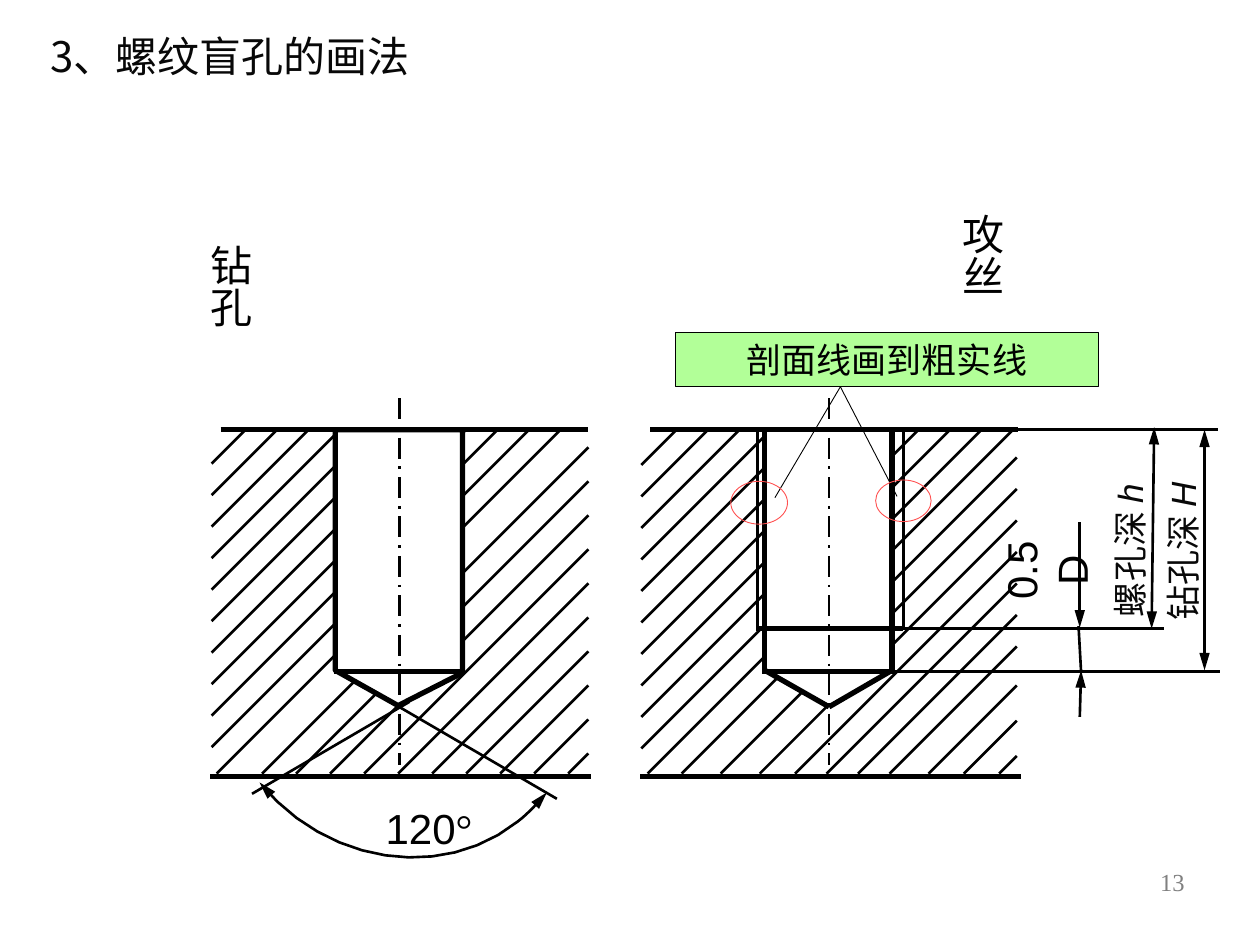
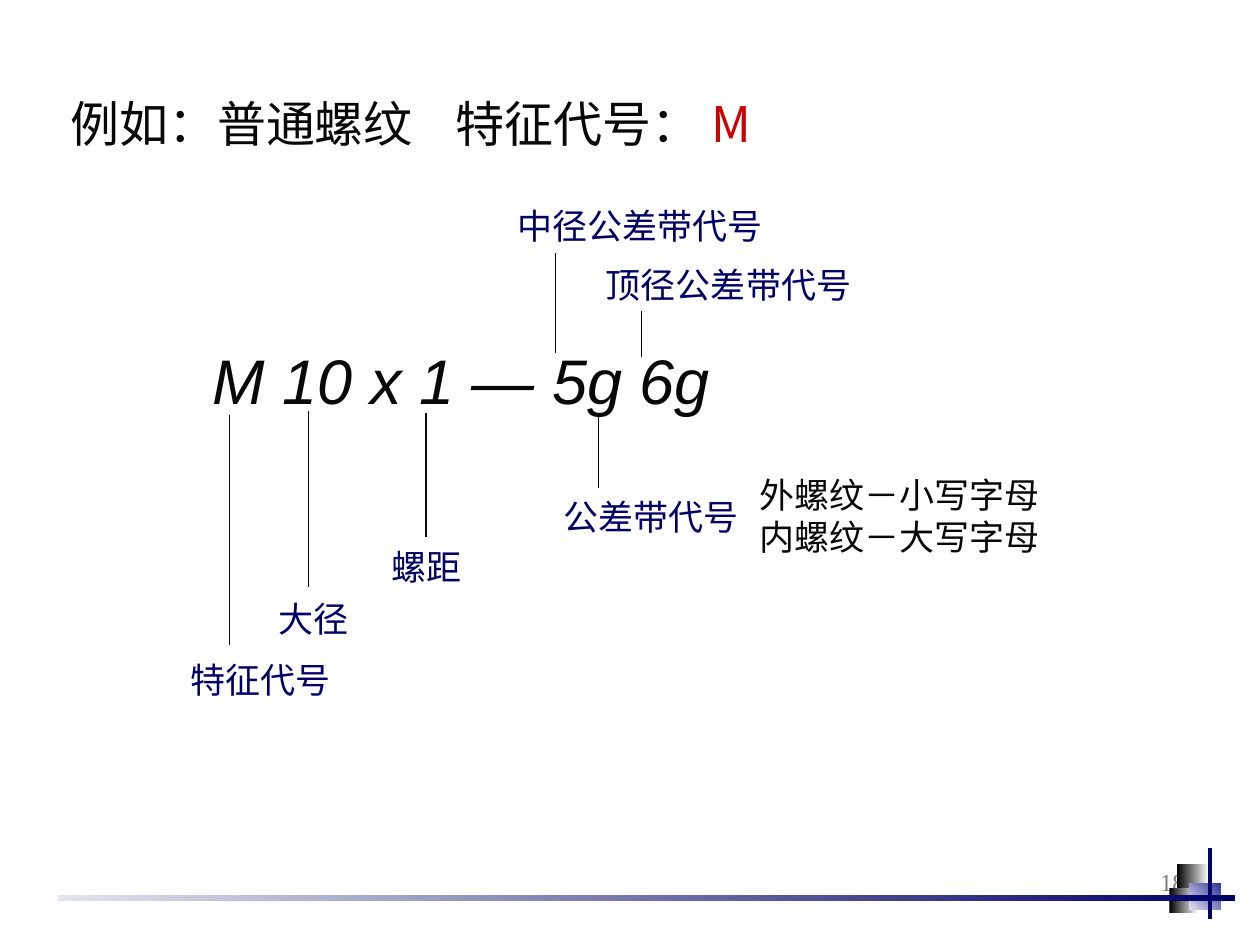
from dataclasses import dataclass

from lxml import etree
from pptx import Presentation, util as u
from pptx.dml.color import RGBColor
from pptx.enum import dml, shapes, text
from pptx.oxml import ns


@dataclass(frozen=True)
class Theme:
    black: str = "000000"
    ink: str = "080808"
    navy: str = "000066"
    red: str = "CC0000"
    ring: str = "FF5050"
    callout: str = "66FF33"
    white: str = "FFFFFF"
    grey: str = "808080"
    cjk: str = "Noto Sans CJK SC"
    sans: str = "Arial"
    serif: str = "Times New Roman"
    number: int = 14
    label: int = 20
    body: int = 24
    heading: int = 28
    code: int = 36
    hair: float = 0.5
    leader: float = 0.75
    thin: float = 1.5
    plus: float = 2.25
    thick: float = 3


T = Theme()
TOP, BOTTOM = 3.41, 6.14      # faces of the drilled block
THREAD_END, DRILL_END = 4.99, 5.33


def rgb(value):
    return RGBColor.from_string(value)


def sub(parent, tag, **attrs):
    return etree.SubElement(parent, ns.qn(tag), **attrs)


def steps(start, step, count):
    return [start + step * i for i in range(count)]


def bezier(p0, p1, p2, p3, count=12):
    """Points of a cubic curve, without its first point."""
    points = []
    for i in range(1, count + 1):
        t = i / count
        weights = ((1 - t) ** 3, 3 * t * (1 - t) ** 2, 3 * t * t * (1 - t), t ** 3)
        points.append(tuple(sum(w * p[axis] for w, p in zip(weights, (p0, p1, p2, p3)))
                            for axis in (0, 1)))
    return points


class Deck:
    def __init__(self):
        self.prs = Presentation()
        self.prs.slide_width, self.prs.slide_height = u.Inches(10), u.Inches(7.5)
        self.s = None

    def new_slide(self, number):
        self.s = self.prs.slides.add_slide(self.prs.slide_layouts[6])
        self.text((7.17, 6.83, 2.33, 0.52), str(number), T.number, T.grey, T.serif,
                  align=text.PP_ALIGN.RIGHT)

    def font(self, r, size, color, name, italic=False):
        r.font.size = u.Pt(size)
        r.font.color.rgb = rgb(color)
        r.font.name = name
        if italic:
            r.font.italic = True
        sub(r.font._element, "a:ea", typeface=T.cjk)

    def text(self, box, lines, size, color, name=T.cjk, italic=False, align=None,
             middle=False, rotation=0, vertical=False, tab=None, wrap=True):
        """Add a text box and return its first paragraph."""
        sp = self.s.shapes.add_textbox(*map(u.Inches, box))
        sp.rotation = rotation
        tf = sp.text_frame
        tf.text = lines
        tf.word_wrap = wrap
        if middle:
            tf.vertical_anchor = text.MSO_ANCHOR.MIDDLE
        if vertical:
            sp.element.txBody.bodyPr.set("vert", "eaVert")
        for p in tf.paragraphs:
            if tab:
                tabs = sub(p._p.get_or_add_pPr(), "a:tabLst")
                sub(tabs, "a:tab", pos=str(u.Inches(tab)), algn="l")
            if align:
                p.alignment = align
            for r in p.runs:
                self.font(r, size, color, name, italic)
        return tf.paragraphs[0]

    def add_run(self, p, words, *style, **options):
        r = p.add_run()
        r.text = words
        self.font(r, *style, **options)

    def stroke(self, sp, width, color=T.black, dash=None, ends=()):
        sp.line.width = u.Pt(width)
        sp.line.color.rgb = rgb(color)
        if dash:
            sp.line.dash_style = dash
        for end in ends:
            sub(sp.line._get_or_add_ln(), "a:" + end, type="triangle", w="med", len="lg")

    def line(self, x1, y1, x2, y2, width=T.thin, color=T.black, dash=None, ends=()):
        sp = self.s.shapes.add_connector(shapes.MSO_CONNECTOR.STRAIGHT,
                                         *map(u.Inches, (x1, y1, x2, y2)))
        self.stroke(sp, width, color, dash, ends)
        sub(sp.element.spPr, "a:effectLst")

    def outline(self, points, width, fill=None, ends=()):
        """Draw a polyline, closed when it has a fill."""
        emu = [(u.Inches(x), u.Inches(y)) for x, y in points]
        builder = self.s.shapes.build_freeform(*emu[0])
        builder.add_line_segments(emu[1:], close=bool(fill))
        sp = builder.convert_to_shape()
        sp.shadow.inherit = False
        if fill:
            sp.fill.solid()
            sp.fill.fore_color.rgb = rgb(fill)
        else:
            sp.fill.background()
        self.stroke(sp, width, ends=ends)

    def shape(self, kind, box):
        sp = self.s.shapes.add_shape(kind, *map(u.Inches, box))
        sp.shadow.inherit = False
        return sp

    def ring(self, *box):
        sp = self.shape(shapes.MSO_SHAPE.OVAL, box)
        sp.fill.background()
        self.stroke(sp, T.hair, T.ring)

    def callout(self, box, words):
        sp = self.shape(shapes.MSO_SHAPE.RECTANGLE, box)
        sp.fill.solid()
        sp.fill.fore_color.rgb = rgb(T.callout)
        color = sp.element.spPr.find(ns.qn("a:solidFill"))[0]
        sub(color, "a:alpha", val="50000")
        self.stroke(sp, T.leader)
        tf = sp.text_frame
        tf.text = words
        tf.word_wrap = False
        tf.vertical_anchor = text.MSO_ANCHOR.MIDDLE
        p = tf.paragraphs[0]
        p.alignment = text.PP_ALIGN.CENTER
        self.font(p.runs[0], T.label, T.black, T.cjk)

    def gradient(self, box, start, end, angle=0):
        sp = self.shape(shapes.MSO_SHAPE.RECTANGLE, box)
        sp.fill.gradient()
        sp.fill.gradient_angle = angle
        for stop, color in zip(sp.fill.gradient_stops, (start, end)):
            stop.color.rgb = rgb(color)
        sp.line.fill.background()

    def hatch(self, sums, left, right):
        """Draw 45° lines x + y = c, cut off at the block's faces."""
        for c in sums:
            x1, x2 = max(left, c - BOTTOM), min(right, c - TOP)
            self.line(x1, c - x1, x2, c - x2)

    def block(self, left):
        self.line(left + 0.08, TOP, left + 3, TOP, T.thick)
        self.line(left, 6.16, left + 3.02, 6.16, T.thick)

    def axis(self, x):
        self.line(x, 3.16, x, 6.07, dash=dml.MSO_LINE.LONG_DASH_DOT)


def drilled_hole(d):
    d.line(3.25, 5.57, 2, 6.3)
    d.line(2.67, 5.32, 4.42, 6.34)
    start, joint, end = (4.34, 6.29), (4.11, 6.52), (2.06, 6.21)
    arc = [start, *bezier(start, (4.27, 6.37), (4.2, 6.45), joint),
           *bezier(joint, (3.51, 7), (2.59, 6.86), end)]
    d.outline(arc, T.thin, ends=("headEnd", "tailEnd"))
    p = d.text((2.93, 6.32, 0.95, 0.5), "120", T.body, T.black, T.sans,
               align=text.PP_ALIGN.CENTER, middle=True, wrap=False)
    d.add_run(p, "°", T.body, T.black, T.serif)
    d.block(1.67)
    d.hatch(steps(5.36, 0.25, 11) + steps(8.22, 0.27, 10), 1.68, 4.67)
    d.outline([(2.66, TOP), (2.66, 5.32), (3.16, 5.6), (3.67, 5.34), (3.67, TOP)],
              T.thick, T.white)
    d.line(2.65, DRILL_END, 3.69, DRILL_END, T.thick)
    d.axis(3.17)


def tapped_hole(d):
    wall_left, wall_right, tip = 6.07, 7.08, 6.58
    d.block(5.08)
    d.line(wall_left, DRILL_END, 7.09, DRILL_END, T.thick)
    d.axis(tip)
    for wall in (wall_left, wall_right):
        d.line(wall, TOP, wall, 5.35, T.thick)
        d.line(wall, 5.32, tip, 5.61, T.thick)
    d.hatch(steps(8.78, 0.25, 11), 5.09, wall_left)
    for c in steps(11.55, 0.31, 3):
        d.hatch([c], 5.09, (c - 1.85) / 1.57)   # ends on the cone
    d.hatch(steps(10.7, 0.25, 7), wall_right, 8.07)
    d.hatch(steps(12.45, 0.25, 4) + steps(13.51, 0.28, 3), 5.09, 8.07)
    d.line(6, THREAD_END, 7.17, THREAD_END, T.thick)
    for thread in (6.01, 7.17):
        d.line(thread, THREAD_END, thread, TOP)


def depth_dimensions(d):
    both = ("headEnd", "tailEnd")
    d.line(8.08, TOP, 9.67, TOP)
    d.line(6.61, DRILL_END, 9.68, DRILL_END)
    d.line(7.17, THREAD_END, 9.24, THREAD_END)
    d.line(9.56, TOP, 9.56, 5.32, ends=both)
    d.line(9.16, 3.39, 9.14, THREAD_END, ends=both)
    for box, words, symbol in (((8.42, 3.85, 1.92, 0.43), "钻孔深 ", "H"),
                               ((8.2, 4.02, 1.52, 0.43), "螺孔深 ", "h")):
        p = d.text(box, words, T.label, T.ink, rotation=270)
        d.add_run(p, symbol, T.label, T.ink, T.sans, italic=True)
    d.text((7.93, 4.28, 0.74, 0.5), "0.5D", T.body, T.black, T.sans,
           align=text.PP_ALIGN.CENTER, middle=True, rotation=270)
    d.line(8.58, 5.32, 8.57, 5.69, ends=("headEnd",))
    d.line(8.58, DRILL_END, 8.56, 4.97)
    d.line(8.57, 4.98, 8.57, 4.14, ends=("headEnd",))


def blind_hole_slide(d):
    d.new_slide(13)
    drilled_hole(d)
    tapped_hole(d)
    depth_dimensions(d)
    for box, words in (((1.52, 1.84, 0.61, 1.09), "钻孔"), ((7.49, 1.6, 0.61, 1.11), "攻丝")):
        d.text(box, words, T.body, T.black, T.serif, align=text.PP_ALIGN.CENTER,
               middle=True, vertical=True)
    d.text((0.3, 0.19, 4.05, 0.5), "3、螺纹盲孔的画法", T.body, T.ink)
    d.line(6.67, 3.07, 6.15, 3.95, T.hair)
    d.line(6.67, 3.07, 7.12, 3.94, T.hair)
    d.ring(5.8, 3.82, 0.45, 0.34)
    d.ring(6.95, 3.81, 0.44, 0.33)
    d.callout((5.36, 2.64, 3.36, 0.43), "剖面线画到粗实线")


def thread_code_slide(d):
    d.new_slide(18)
    d.text((1.59, 2.66, 8.41, 0.7), "M 10 x 1 — 5g 6g", T.code, T.ink, T.sans, italic=True)
    for x, y1, y2 in ((1.82, 3.29, 5.12), (2.45, 3.26, 4.66), (3.38, 3.28, 4.26),
                      (4.75, 3.3, 3.87), (4.41, 2.8, 2.01), (5.09, 2.83, 2.47)):
        d.line(x, y1, x, y2, T.leader, T.ink)
    for x, y, width, words in ((1.41, 5.18, 2.02, "特征代号"), (4.37, 3.88, 4.32, "公差带代号"),
                               (3.01, 4.28, 1.22, "螺距"), (2.11, 4.69, 1.43, "大径"),
                               (4.01, 1.57, 3.4, "中径公差带代号"),
                               (4.71, 2.04, 2.72, "顶径公差带代号")):
        d.text((x, y, width, 0.43), words, T.label, T.navy)
    d.text((5.93, 3.71, 3.2, 0.77), "外螺纹－小写字母\n内螺纹－大写字母", T.label, T.ink)
    p = d.text((0.46, 0.69, 6.39, 0.57), "例如：普通螺纹\t特征代号： ", T.heading, T.ink, tab=3.06)
    d.add_run(p, "M", T.heading, T.red, T.cjk)
    d.gradient((9.34, 6.86, 0.24, 0.19), T.black, "F2F2F2")
    d.gradient((9.28, 7.05, 0.22, 0.2), T.black, "F6F6F6")
    d.gradient((9.44, 7.01, 0.25, 0.21), "E3E3F1", "333399", 45)
    d.gradient((0.46, 7.1, 9.34, 0.05), "E3E3EE", T.navy)
    d.line(9.6, 6.73, 9.6, 7.29, T.plus, T.navy)


def main():
    d = Deck()
    blind_hole_slide(d)
    thread_code_slide(d)
    d.prs.save("out.pptx")


if __name__ == "__main__":
    main()
